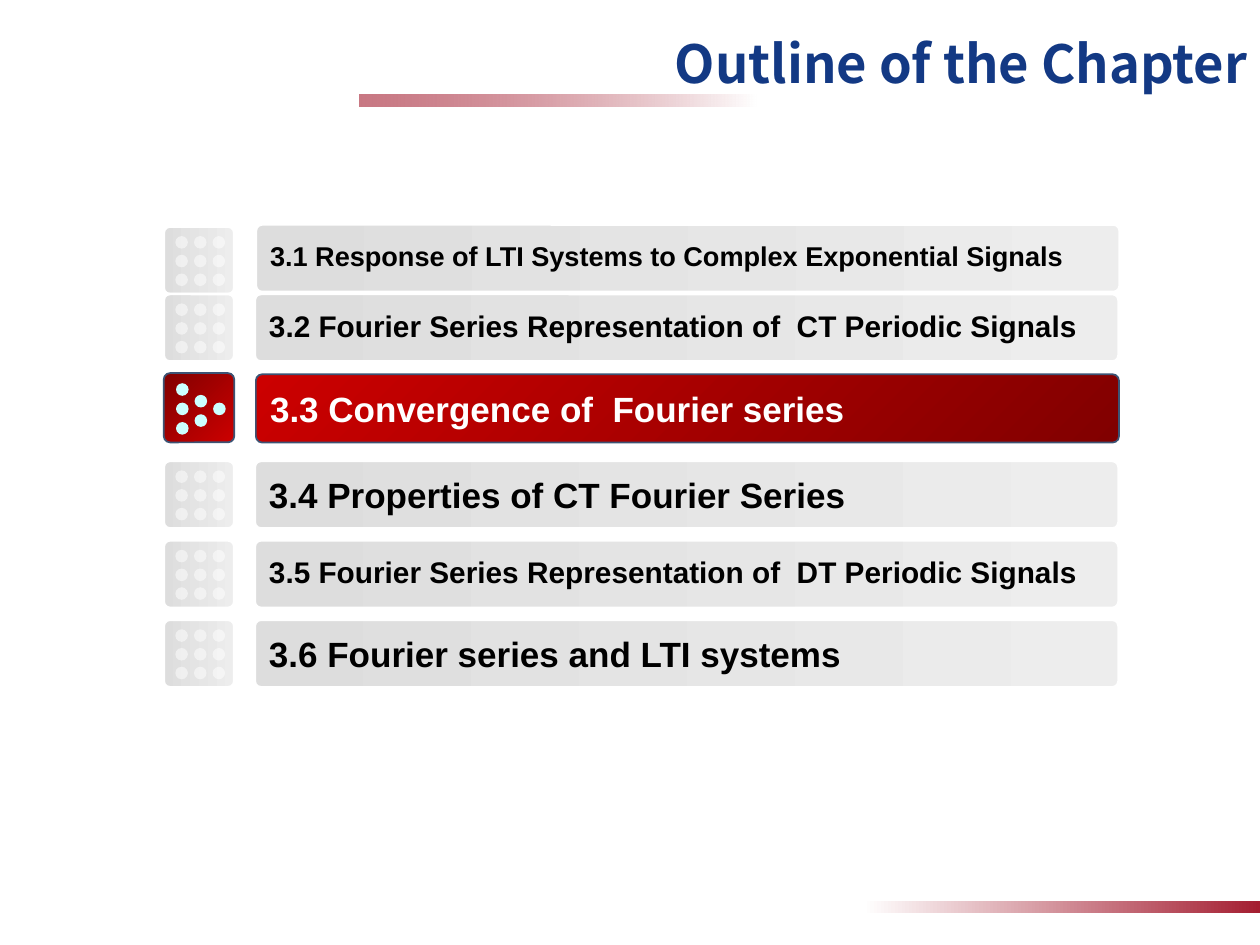
"""Build the chapter outline slide with the current section highlighted."""
from dataclasses import dataclass
from itertools import product

from lxml.etree import SubElement
from pptx import Presentation
from pptx.dml.color import RGBColor
from pptx.enum.shapes import MSO_SHAPE
from pptx.enum.text import MSO_ANCHOR, PP_ALIGN
from pptx.oxml.ns import qn
from pptx.util import Pt

TILE_LEFT, TILE_WIDTH = 93.6, 40.3
DOT_SIZE = 7.2
CORNER = 0.091
GREY = ("DDDDDD", "EDEDED")
GRID = [(column, row) for row, column in product(range(3), repeat=2)]
ARROW = [(0, 0), (0, 1), (0, 2), (1, 0.6), (1, 1.6), (2, 1)]


@dataclass
class Section:
    heading: str
    top: float
    size: float
    spacing: float = 1.0
    left: float = 145.6
    tile_offset: float = 0
    active: bool = False


SECTIONS = [
    Section("3.1 Response of LTI Systems to Complex Exponential Signals",
            128.3, 15.5, spacing=0.8, left=146.2, tile_offset=1.2),
    Section("3.2 Fourier Series Representation of  CT Periodic Signals",
            168, 17, spacing=0.9),
    Section("3.3 Convergence of  Fourier series", 213.9, 20, left=146.2, active=True),
    Section("3.4 Properties of CT Fourier Series", 263.4, 20),
    Section("3.5 Fourier Series Representation of  DT Periodic Signals",
            308.8, 17, spacing=0.9),
    Section("3.6 Fourier series and LTI systems", 354.2, 20),
]


def paint(target, colour: str):
    target.rgb = RGBColor.from_string(colour)


def set_alpha(shape, colour: str, percent: int):
    for element in shape._element.spPr.iter(qn("a:srgbClr")):
        if element.get("val") == colour:
            SubElement(element, qn("a:alpha"), val=str(percent * 1000))


def add_block(shapes, kind, left: float, top: float, width: float, height: float):
    block = shapes.add_shape(kind, Pt(left), Pt(top), Pt(width), Pt(height))
    block.shadow.inherit = False
    block.line.fill.background()
    return block


def fill_gradient(shape, colours: tuple, angle: float = 0):
    shape.fill.gradient()
    shape.fill.gradient_angle = angle
    for stop, colour, position in zip(shape.fill.gradient_stops, colours, (0, 1)):
        paint(stop.color, colour)
        stop.position = position


def add_panel(shapes, left: float, top: float, width: float, height: float,
              colours: tuple, angle: float, outline: str, weight: float):
    panel = add_block(shapes, MSO_SHAPE.ROUNDED_RECTANGLE, left, top, width, height)
    panel.adjustments[0] = CORNER
    fill_gradient(panel, colours, angle)
    panel.line.fill.solid()
    paint(panel.line.color, outline)
    panel.line.width = Pt(weight)
    return panel


def write(shape, text: str, *, size: float, font: str = "Arial", colour: str = "000000",
          align=PP_ALIGN.LEFT, anchor=MSO_ANCHOR.MIDDLE, spacing: float = 1.0):
    frame = shape.text_frame
    frame.word_wrap = True
    frame.vertical_anchor = anchor
    frame.margin_left = frame.margin_right = Pt(7.2)
    frame.margin_top = frame.margin_bottom = Pt(3.6)
    paragraph = frame.paragraphs[0]
    paragraph.alignment = align
    paragraph.line_spacing = spacing
    run = paragraph.add_run()
    run.text = text
    run.font.name = font
    run.font.size = Pt(size)
    run.font.bold = True
    paint(run.font.color, colour)


def add_dots(shapes, places: list, left: float, top: float,
             pitch_x: float, pitch_y: float, colour: str, alpha: int = 100):
    group = shapes.add_group_shape()
    for column, row in places:
        dot = add_block(group.shapes, MSO_SHAPE.OVAL, left + column * pitch_x,
                        top + row * pitch_y, DOT_SIZE, DOT_SIZE)
        dot.fill.solid()
        paint(dot.fill.fore_color, colour)
        if alpha < 100:
            set_alpha(dot, colour, alpha)


def add_section(shapes, section: Section):
    left, top = section.left, section.top
    if section.active:
        outline = dict(angle=315, outline="3C5374", weight=1)
        add_panel(shapes, TILE_LEFT, top - 0.7, TILE_WIDTH, 39.6,
                  ("810000", "CC0000"), **outline)
        bar = add_panel(shapes, left, top, 493.2, 39, ("CC0000", "810000"), **outline)
        add_dots(shapes, ARROW, 100.6, top + 5.1, 10.6, 11.1, "CCFFFF")
    else:
        outline = dict(angle=0, outline="FFFFFF", weight=1.5)
        tile_top = top + section.tile_offset
        add_panel(shapes, TILE_LEFT, tile_top, TILE_WIDTH, 38.6, GREY, **outline)
        bar = add_panel(shapes, left, top, 493.6, 38.6, GREY, **outline)
        add_dots(shapes, GRID, 100.2, tile_top + 5.4, 10.65, 10.7, "FFFFFF", 50)
    write(bar, section.heading, size=section.size, spacing=section.spacing,
          colour="FFFFFF" if section.active else "000000")


def main():
    presentation = Presentation()
    presentation.slide_width, presentation.slide_height = Pt(720), Pt(540)
    slide = presentation.slides.add_slide(presentation.slide_layouts[5])
    title_rule = add_block(slide.shapes, MSO_SHAPE.RECTANGLE, 205.2, 53.8, 226.8, 7.2)
    fill_gradient(title_rule, ("A41E31", "FFFFFF"))
    set_alpha(title_rule, "A41E31", 60)
    footer_rule = add_block(slide.shapes, MSO_SHAPE.RECTANGLE, 493.2, 514.8, 226.8, 7.2)
    fill_gradient(footer_rule, ("FFFFFF", "A41E31"))
    title = slide.shapes.title
    title.left, title.top, title.width, title.height = Pt(0), Pt(14.4), Pt(720), Pt(54)
    write(title, "Outline of the Chapter", size=30, font="Noto Sans CJK SC",
          colour="133984", align=PP_ALIGN.RIGHT, anchor=MSO_ANCHOR.TOP)
    for section in SECTIONS:
        add_section(slide.shapes, section)
    presentation.save("out.pptx")


if __name__ == "__main__":
    main()
